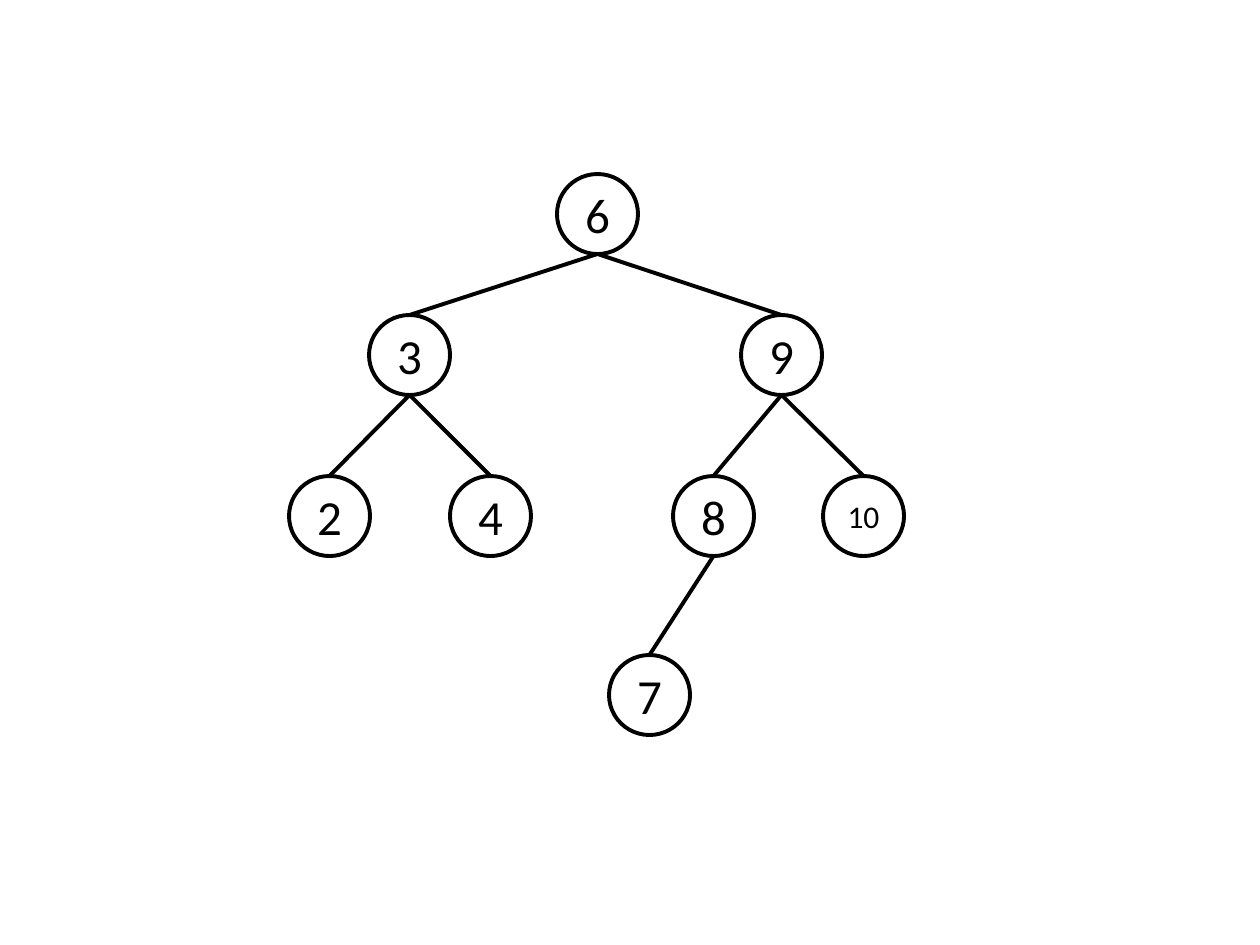
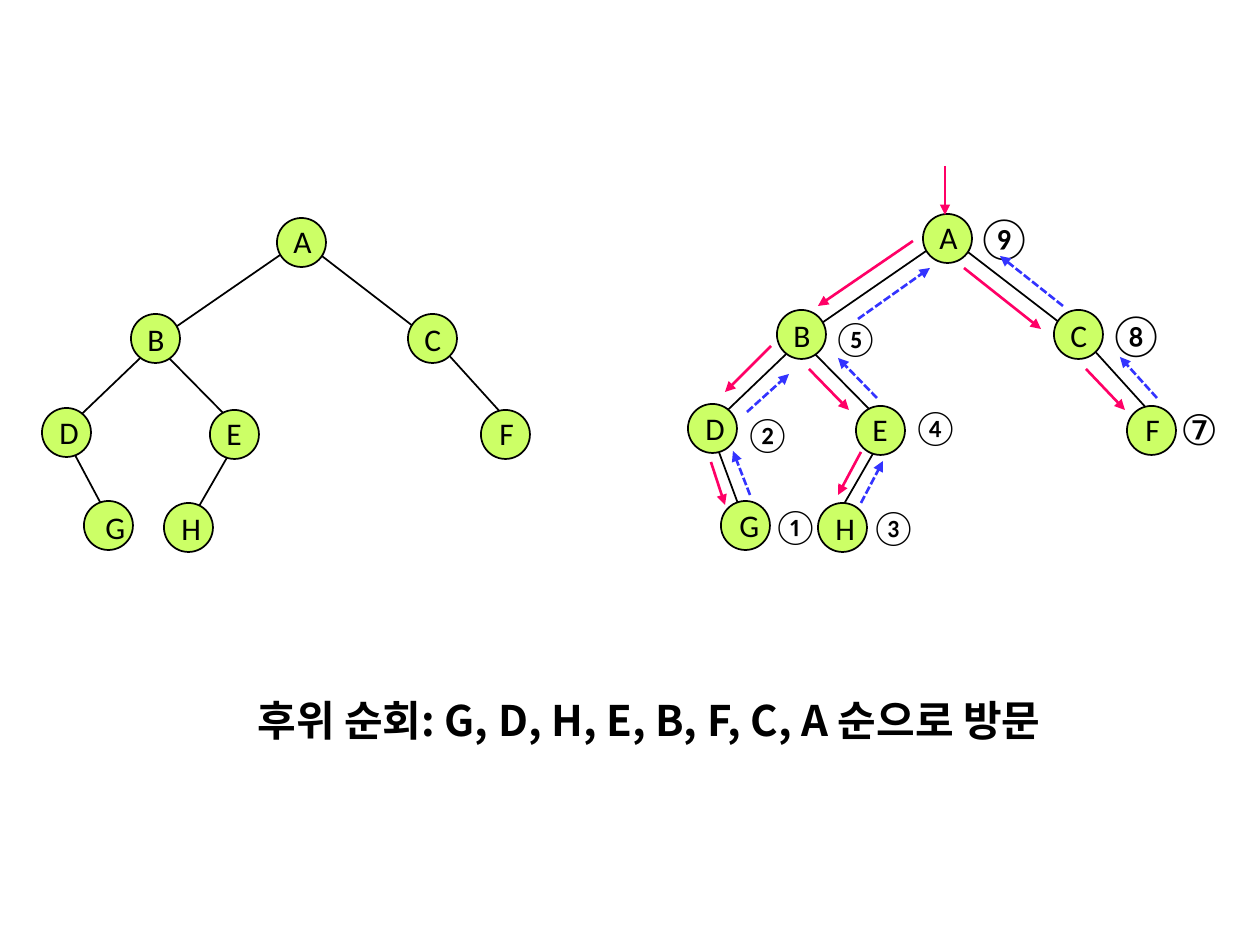
from pptx import Presentation
from pptx.util import Emu, Pt
from pptx.dml.color import RGBColor as RGB
from pptx.enum.dml import MSO_LINE as DASH
from pptx.enum.shapes import MSO_SHAPE as SHAPE, MSO_CONNECTOR as CONN
from pptx.enum.text import MSO_ANCHOR as ANCHOR, MSO_AUTO_SIZE as AUTO, PP_ALIGN as ALIGN
from pptx.oxml.ns import qn
from lxml.etree import SubElement as Sub

COLORS = {"ink": "000000", "lime": "CCFF66", "down": "FF0066", "up": "3333FF"}
FONT = "Calibri"
WIDE, HIGH = 1260, 945


def px(n):
    return Emu(round(n * 914400 / 126))


def color(name):
    return RGB.from_string(COLORS[name])


def write(frame, text, size, font=FONT, bold=False, align=ALIGN.CENTER):
    para = frame.paragraphs[0]
    para.alignment = align
    run = para.add_run()
    run.text = text
    run.font.size = Pt(size)
    run.font.bold = bold
    run.font.name = font
    run.font.color.rgb = color("ink")
    Sub(run.font._element, qn("a:ea"), typeface=font)


def label(slide, box, text, size, wrap=True, anchor=ANCHOR.TOP, **style):
    frame = slide.shapes.add_textbox(*map(px, box)).text_frame
    frame.word_wrap = wrap
    frame.auto_size = AUTO.SHAPE_TO_FIT_TEXT
    frame.vertical_anchor = anchor
    write(frame, text, size, **style)


def circle(slide, box, width, fill=None):
    shape = slide.shapes.add_shape(SHAPE.OVAL, *map(px, box))
    shape.shadow.inherit = False
    if fill:
        shape.fill.solid()
        shape.fill.fore_color.rgb = color(fill)
    else:
        shape.fill.background()
    shape.line.color.rgb = color("ink")
    shape.line.width = Pt(width)
    return shape


def line(slide, ends, width, tint="ink", arrow=False, dash=None):
    link = slide.shapes.add_connector(CONN.STRAIGHT, *map(px, ends))
    link.line.color.rgb = color(tint)
    link.line.width = Pt(width)
    if dash:
        link.line.dash_style = dash
    if arrow:
        Sub(link.line._get_or_add_ln(), qn("a:tailEnd"), type="triangle")
    Sub(link._element.spPr, qn("a:effectLst"))


def shift(ends, left, top):
    x1, y1, x2, y2 = ends
    return left + x1, top + y1, left + x2, top + y2


# Search tree: each node has its parent and its corner in the box
NUMS = {
    "6": (None, 268, 0), "3": ("6", 80, 141), "9": ("6", 452, 141),
    "4": ("3", 161, 302), "8": ("9", 384, 302), "10": ("9", 534, 302),
    "7": ("8", 320, 481), "2": ("3", 0, 302),
}


def search(slide, left, top):
    wide, high = 81, 80
    for key, (up, x, y) in NUMS.items():
        node = circle(slide, (left + x, top + y, wide, high), 2.25)
        frame = node.text_frame
        frame.margin_left = frame.margin_right = 0
        frame.vertical_anchor = ANCHOR.MIDDLE
        write(frame, key, 28 if len(key) == 1 else 18)
        if up:
            _, px_up, py_up = NUMS[up]
            mid = wide / 2
            ends = px_up + mid, py_up + high, x + mid, y
            line(slide, shift(ends, left, top), 2.25)


# Letter trees: corner of each node, then the offset of its letter
NODES = {
    "A": (235, 0, 4, -2), "B": (89, 96, 4, 0), "C": (366, 96, 4, 0),
    "D": (0, 190, 5, -1), "E": (168, 192, 4, -2), "F": (439, 192, 6, -2),
}
EDGES = [
    (194, 224, 152, 297), (122, 135, 190, 204), (394, 123, 480, 218),
    (116, 123, 22, 213), (257, 24, 115, 122), (263, 25, 389, 122),
]


def letters(slide, left, top, leaves, edge):
    nodes = NODES | leaves
    for ends in [edge] + EDGES:
        line(slide, shift(ends, left, top), 1)
    for x, y, _, _ in nodes.values():
        circle(slide, (left + x, top + y, 49, 49), 1, "lime")
    for key, (x, y, dx, dy) in nodes.items():
        wide = 34 if key == "G" else 39
        box = left + x + dx, top + y + dy, wide, 50
        label(slide, box, key, 18, anchor=ANCHOR.MIDDLE)


# Walk through the tree: arrows point to their second end
DOWN = [
    (257, -48, 257, 1), (225, 27, 130, 92), (83, 132, 37, 178),
    (23, 248, 37, 291), (121, 155, 161, 196), (173, 238, 150, 281),
    (276, 54, 353, 115), (398, 155, 437, 196),
]
UP = [
    (62, 281, 45, 237), (59, 198, 101, 160), (469, 184, 432, 143),
    (375, 92, 312, 42), (189, 184, 150, 144), (173, 289, 195, 247),
    (170, 105, 242, 54),
]
MARKS = [
    ("①", 72, 284, 20, FONT), ("②", 44, 192, 20, FONT),
    ("③", 170, 285, 20, FONT), ("④", 212, 185, 20, FONT),
    ("⑤", 132, 96, 20, FONT), ("⑦", 480, 183, 24, "Cabin"),
    ("⑧", 408, 88, 24, FONT), ("⑨", 276, -9, 24, FONT),
]


def walk(slide, left, top):
    for text, x, y, size, font in MARKS:
        wide, high = (60, 55) if size == 20 else (63, 63)
        label(slide, (left + x, top + y, wide, high), text, size,
              wrap=False, font=font, align=ALIGN.LEFT)
    for ends in DOWN:
        line(slide, shift(ends, left, top), 1.5, "down", True)
    for ends in UP:
        line(slide, shift(ends, left, top), 1.5, "up", True, DASH.SQUARE_DOT)


def order(slide):
    letters(slide, 42, 218, {"G": (42, 283, 9, 1), "H": (122, 285, 5, 0)},
            (25, 222, 65, 297))
    letters(slide, 688, 214, {"G": (33, 287, 6, -1), "H": (130, 289, 5, 0)},
            (25, 222, 52, 295))
    walk(slide, 688, 214)
    label(slide, (84, 688, 1130, 63),
          "후위 순회: G, D, H, E, B, F, C, A 순으로 방문", 24,
          font="Noto Sans CJK KR", bold=True)


def main():
    deck = Presentation()
    deck.slide_width, deck.slide_height = px(WIDE), px(HIGH)
    blank = deck.slide_layouts[6]
    search(deck.slides.add_slide(blank), 289, 174)
    order(deck.slides.add_slide(blank))
    deck.save("out.pptx")


if __name__ == "__main__":
    main()
